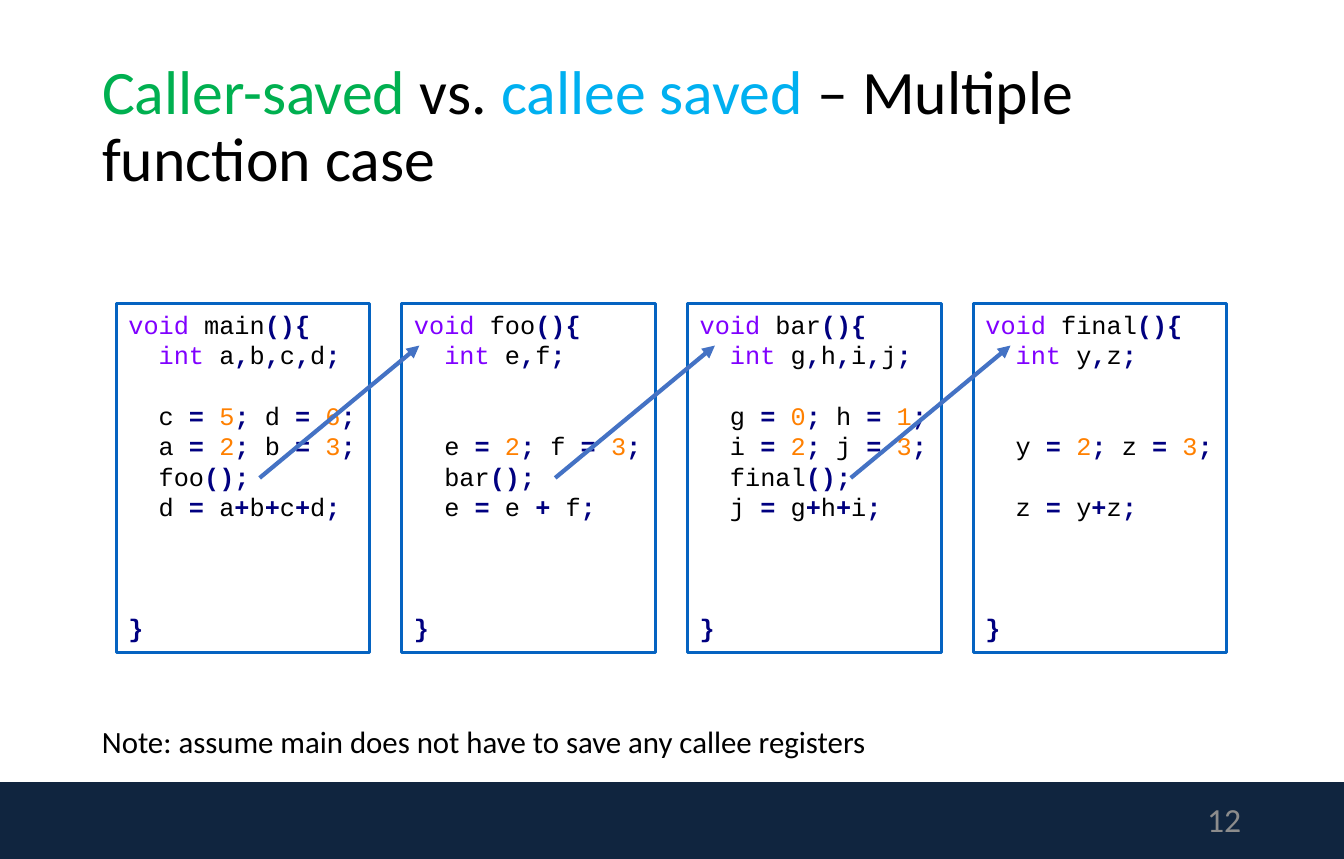
from itertools import groupby

from lxml.etree import SubElement
from pptx import Presentation
from pptx.dml.color import RGBColor
from pptx.enum.shapes import MSO_CONNECTOR as Link, MSO_SHAPE as Shape
from pptx.enum.text import MSO_ANCHOR as Anchor, MSO_AUTO_SIZE as Fit, PP_ALIGN as Align
from pptx.oxml.ns import qn
from pptx.util import Pt

BLACK = RGBColor(0x00, 0x00, 0x00)
WHITE = RGBColor(0xFF, 0xFF, 0xFF)
GREEN = RGBColor(0x00, 0xB0, 0x50)
SKY = RGBColor(0x00, 0xB0, 0xF0)
DARK = RGBColor(0x10, 0x25, 0x3F)
GREY = RGBColor(0x8C, 0x8C, 0x8C)
EDGE = RGBColor(0x05, 0x63, 0xC1)
ARROW = RGBColor(0x44, 0x72, 0xC4)
PURPLE = RGBColor(0x80, 0x00, 0xFF)
NAVY = RGBColor(0x00, 0x00, 0x80)
ORANGE = RGBColor(0xFF, 0x80, 0x00)

TITLE = [("Caller-saved", GREEN), (" vs. ", BLACK), ("callee saved", SKY),
         (" – Multiple function case", BLACK)]
NOTE = "Note: assume main does not have to save any callee registers"
CODES = ["""void main(){
  int a,b,c,d;

  c = 5; d = 6;
  a = 2; b = 3;
  foo();
  d = a+b+c+d;



}""", """void foo(){
  int e,f;


  e = 2; f = 3;
  bar();
  e = e + f;



}""", """void bar(){
  int g,h,i,j;

  g = 0; h = 1;
  i = 2; j = 3;
  final();
  j = g+h+i;



}""", """void final(){
  int y,z;


  y = 2; z = 3;

  z = y+z;



}"""]


def place(shape, box):
    shape.left, shape.top, shape.width, shape.height = map(Pt, box)


def style(font, name, size, color=None):
    font.name, font.size = name, Pt(size)
    if color is not None:
        font.color.rgb = color


def head(slide, box):
    title = slide.shapes.title
    place(title, box)
    frame = title.text_frame
    frame.auto_size, frame.vertical_anchor = Fit.NONE, Anchor.MIDDLE
    para = frame.paragraphs[0]
    para.alignment, para.line_spacing = Align.LEFT, 0.9
    style(para.font, "Calibri", 44)
    for text, color in TITLE:
        run = para.add_run()
        run.text = text
        run.font.color.rgb = color


def label(slide, box, text, size, color, align=Align.LEFT):
    frame = slide.shapes.add_textbox(*map(Pt, box)).text_frame
    frame.word_wrap, frame.vertical_anchor = True, Anchor.MIDDLE
    para = frame.paragraphs[0]
    para.text, para.alignment = text, align
    style(para.font, "Calibri", size, color)


def foot(slide, box):
    x, y, w, h = box
    band = slide.shapes.add_shape(Shape.RECTANGLE, *map(Pt, box))
    band.shadow.inherit = False
    band.fill.solid()
    band.fill.fore_color.rgb = DARK
    band.line.fill.background()
    label(slide, (x + w - 281.5, y + 10, 215.3, 32.4), "12", 24, GREY, Align.RIGHT)


def kind(char):
    if char.isalpha():
        return "word"
    if char.isdigit():
        return "digit"
    return "space" if char == " " else "sign"


def code(slide, box, text):
    card = slide.shapes.add_textbox(*map(Pt, box))
    card.fill.solid()
    card.fill.fore_color.rgb = WHITE
    card.line.color.rgb, card.line.width = EDGE, Pt(2.25)
    frame = card.text_frame
    frame.word_wrap = False
    frame.margin_left = frame.margin_right = Pt(8.64)
    frame.margin_top = frame.margin_bottom = Pt(4.32)
    tints = {"digit": ORANGE, "sign": NAVY}
    for row, line in enumerate(text.split("\n")):
        para = frame.add_paragraph() if row else frame.paragraphs[0]
        style(para.font, "Courier New", 18)
        for sort, chars in groupby(line or "  ", kind):
            run = para.add_run()
            run.text = "".join(chars)
            key = run.text in ("void", "int")
            run.font.color.rgb = PURPLE if key else tints.get(sort, BLACK)
            run.font.bold = sort == "sign"


def arrow(slide, box):
    x, y, w, h = box
    link = slide.shapes.add_connector(Link.STRAIGHT, Pt(x), Pt(y + h), Pt(x + w), Pt(y))
    link.line.color.rgb, link.line.width = ARROW, Pt(3)
    SubElement(link.line._get_or_add_ln(), qn("a:tailEnd"), type="triangle")
    SubElement(link._element.spPr, qn("a:effectLst"))


def calls(slide, box):
    x, y, w, h = box
    wide = 180.7
    step = (w - wide) / (len(CODES) - 1)
    for i, text in enumerate(CODES):
        code(slide, (x + i * step, y, wide, h), text)
    for i in range(len(CODES) - 1):
        arrow(slide, (x + 102.2 + i * 210.6, y + 30.2, 113.8, 94.3))


def main():
    deck = Presentation()
    deck.slide_width, deck.slide_height = Pt(957.6), Pt(612)
    slide = deck.slides.add_slide(deck.slide_layouts[5])
    foot(slide, (0, 557.3, 957.6, 54.7))
    head(slide, (65.5, 32.4, 825.8, 118))
    calls(slide, (82.8, 216, 791.3, 249.1))
    label(slide, (65.5, 509.8, 575, 36), NOTE, 22, BLACK)
    deck.save("out.pptx")


if __name__ == "__main__":
    main()
